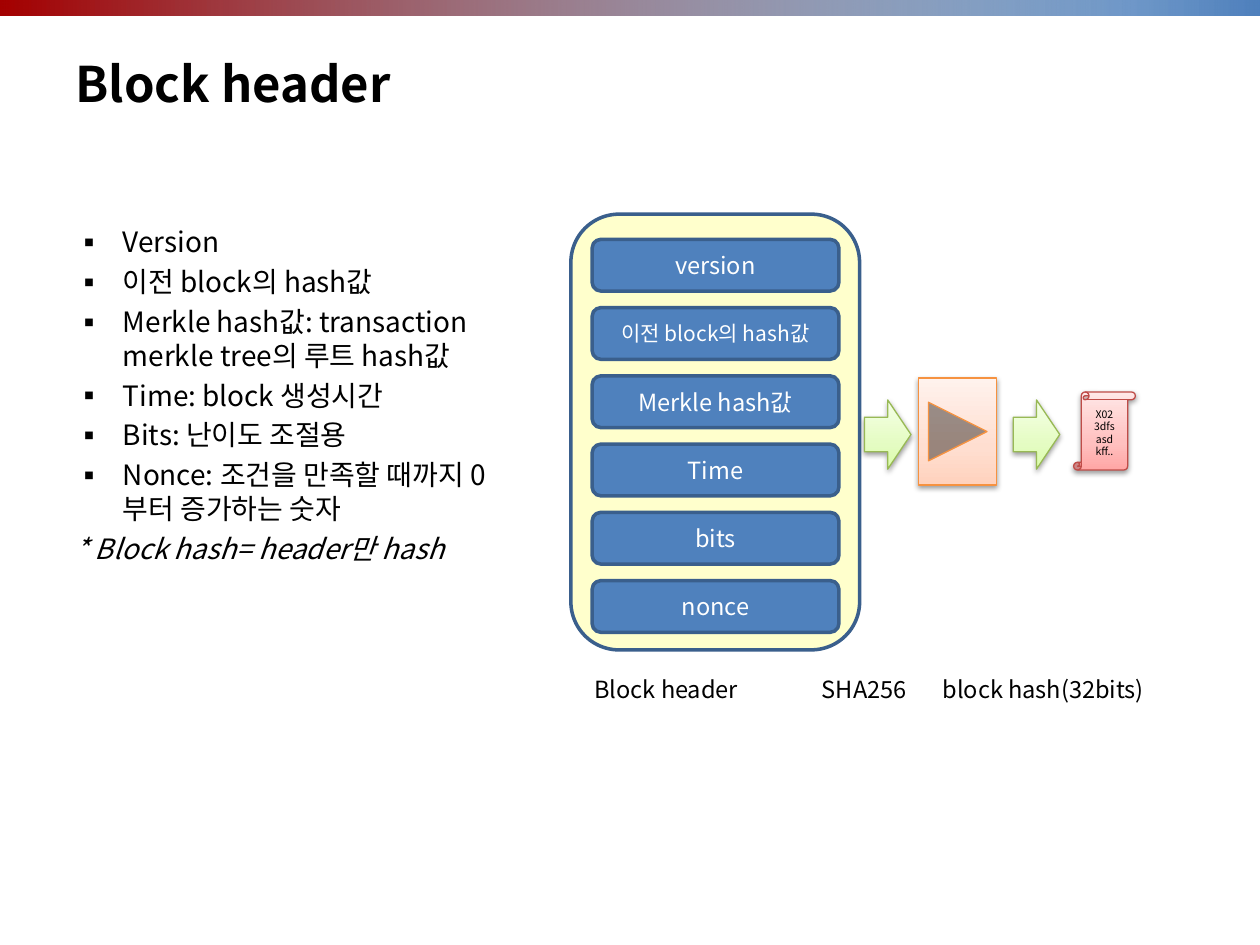
from lxml import etree
from pptx import Presentation
from pptx.dml.color import RGBColor
from pptx.enum.shapes import MSO_SHAPE
from pptx.enum.text import MSO_ANCHOR, MSO_AUTO_SIZE, PP_ALIGN
from pptx.oxml.ns import qn
from pptx.util import Pt

RECT = MSO_SHAPE.RECTANGLE
ROUNDED = MSO_SHAPE.ROUNDED_RECTANGLE
ARROW = MSO_SHAPE.RIGHT_ARROW
BUTTON = MSO_SHAPE.ACTION_BUTTON_FORWARD_OR_NEXT
SCROLL = MSO_SHAPE.VERTICAL_SCROLL
MIDDLE, TOP = MSO_ANCHOR.MIDDLE, MSO_ANCHOR.TOP
LEFT, CENTER = PP_ALIGN.LEFT, PP_ALIGN.CENTER
NO_AUTOFIT = MSO_AUTO_SIZE.NONE

FONT = "Noto Sans CJK KR"
BLACK = RGBColor(0x00, 0x00, 0x00)
WHITE = RGBColor(0xFF, 0xFF, 0xFF)
CREAM = RGBColor(0xFF, 0xFF, 0xCC)
BLUE = RGBColor(0x4F, 0x81, 0xBD)
NAVY = RGBColor(0x3A, 0x5F, 0x8C)
MIST = RGBColor(0xF2, 0xF4, 0xF8)
RED = RGBColor(0xA4, 0x00, 0x00)
DEEP_BLUE = RGBColor(0x16, 0x34, 0x59)
GREEN_LINE = RGBColor(0x98, 0xB9, 0x55)
ORANGE_LINE = RGBColor(0xF6, 0x92, 0x40)
ROSE_LINE = RGBColor(0xBF, 0x4C, 0x48)

# Gradient stops: position, colour, opacity (percent)
GREENS = [(0, RGBColor(0xDA, 0xFD, 0xA7), 100), (35, RGBColor(0xE4, 0xFC, 0xC2), 100),
          (100, RGBColor(0xF5, 0xFF, 0xE7), 100)]
ORANGES = [(0, RGBColor(0xFF, 0xD2, 0xBD), 100), (35, RGBColor(0xFF, 0xDE, 0xD0), 100),
           (100, RGBColor(0xFF, 0xF2, 0xED), 100)]
ROSES = [(0, RGBColor(0xFF, 0xA6, 0xA5), 100), (35, RGBColor(0xFF, 0xC0, 0xBF), 100),
         (100, RGBColor(0xFF, 0xE7, 0xE7), 100)]

ITEMS = ["Version", "이전 block의 hash값",
         "Merkle hash값: transaction merkle tree의 루트 hash값",
         "Time: block 생성시간", "Bits: 난이도 조절용",
         "Nonce: 조건을 만족할 때까지 0부터 증가하는 숫자"]
REMARK = "* Block hash= header만 hash"
FIELDS = [("version", 13.5), ("이전 block의 hash값", 12), ("Merkle hash값", 13.5),
          ("Time", 13.5), ("bits", 13.5), ("nonce", 13.5)]


def sub(parent, tag, **attributes):
    return etree.SubElement(parent, qn(tag), {k: str(v) for k, v in attributes.items()})


def place(shape, box):
    shape.left, shape.top, shape.width, shape.height = (Pt(v) for v in box)


def format_text(paragraph, size, color, align=LEFT, bold=False, italic=False):
    paragraph.alignment = align
    for run in paragraph.runs:
        font = run.font
        font.size, font.name, font.bold, font.italic = Pt(size), FONT, bold, italic
        font.color.rgb = color
        sub(font._element, "a:ea", typeface=FONT)


def add_block(slide, preset, box, line=None, line_width=0.75):
    block = slide.shapes.add_shape(preset, *(Pt(v) for v in box))
    block.shadow.inherit = False
    if line is None:
        block.line.fill.background()
    else:
        block.line.color.rgb = line
        block.line.width = Pt(line_width)
    return block


def fill_gradient(block, stops, angle):
    block.fill.background()
    no_fill = block._element.spPr.find(qn("a:noFill"))
    gradient = etree.Element(qn("a:gradFill"), rotWithShape="1")
    stop_list = sub(gradient, "a:gsLst")
    for position, color, opacity in stops:
        stop = sub(stop_list, "a:gs", pos=position * 1000)
        swatch = sub(stop, "a:srgbClr", val=color)
        if opacity < 100:
            sub(swatch, "a:alpha", val=opacity * 1000)
    sub(gradient, "a:lin", ang=angle * 60000, scaled=0)
    no_fill.getparent().replace(no_fill, gradient)


def add_step(slide, preset, box, stops, line):
    """Shaded, shadowed stage of the hashing flow."""
    step = add_block(slide, preset, box, line)
    fill_gradient(step, stops, 270)
    effects = step._element.spPr.find(qn("a:effectLst"))
    shadow = sub(effects, "a:outerShdw", blurRad=Pt(3.1), dist=Pt(1.6),
                 dir=90 * 60000, rotWithShape=0)
    sub(sub(shadow, "a:srgbClr", val=BLACK), "a:alpha", val=38000)
    return step


def add_top_band(slide, box):
    left, top, width, height = box
    base = add_block(slide, RECT, box)
    fill_gradient(base, [(0, MIST, 0), (100, BLUE, 100)], 0)
    overlay = add_block(slide, RECT, (left, top, width * 0.9, height))
    fill_gradient(overlay, [(0, RED, 100), (100, DEEP_BLUE, 0)], 0)


def fill_title(slide, box):
    title = slide.shapes.title
    place(title, box)
    frame = title.text_frame
    frame.text = "Block header"
    frame.vertical_anchor = MIDDLE
    frame.auto_size = NO_AUTOFIT
    format_text(frame.paragraphs[0], 28, BLACK, bold=True)


def fill_list(slide, box):
    body = slide.placeholders[1]
    place(body, box)
    frame = body.text_frame
    frame.text = "\n".join(ITEMS + [REMARK])
    frame.vertical_anchor = TOP
    frame.auto_size = NO_AUTOFIT
    for paragraph in frame.paragraphs:
        is_remark = paragraph.text == REMARK
        format_text(paragraph, 16, BLACK, italic=is_remark)
        paragraph.line_spacing = Pt(19.5)
        paragraph.space_before = Pt(3.2)
        properties = paragraph._p.get_or_add_pPr()
        indent = 0 if is_remark else Pt(27)
        properties.set("marL", str(indent))
        properties.set("indent", str(-indent))
        if is_remark:
            sub(properties, "a:buNone")
        else:
            sub(properties, "a:buFont", typeface=FONT)
            sub(properties, "a:buChar", char="▪")


def add_header_block(slide, box):
    left, top, width, height = box
    container = add_block(slide, ROUNDED, box, NAVY, 2)
    container.fill.solid()
    container.fill.fore_color.rgb = CREAM
    pitch = 39
    for row, (label, size) in enumerate(FIELDS):
        field = add_block(slide, ROUNDED, (left + 12.2, top + 14.4 + row * pitch,
                                           width - 24, 29.5), NAVY, 2)
        field.fill.solid()
        field.fill.fore_color.rgb = BLUE
        frame = field.text_frame
        frame.text = label
        frame.vertical_anchor = MIDDLE
        format_text(frame.paragraphs[0], size, WHITE, CENTER)


def add_hash_flow(slide, box):
    left, top, width, height = box
    for offset in (0, 85):
        add_step(slide, ARROW, (left + offset, top + 12.5, 26.6, 39.6), GREENS, GREEN_LINE)
    add_step(slide, BUTTON, (left + 31, top, 44.6, height), ORANGES, ORANGE_LINE)
    scroll_width = 35.3
    digest = add_step(slide, SCROLL, (left + width - scroll_width, top + 8, scroll_width, 44.6),
                      ROSES, ROSE_LINE)
    frame = digest.text_frame
    frame.text = "X02\v3dfs\vasd\vkff.."
    frame.word_wrap = False
    frame.vertical_anchor = MIDDLE
    format_text(frame.paragraphs[0], 6, BLACK, CENTER)
    frame.paragraphs[0].line_spacing = Pt(7)


def add_captions(slide, box):
    captions = slide.shapes.add_textbox(*(Pt(v) for v in box))
    frame = captions.text_frame
    frame.text = "Block header\tSHA256\tblock hash(32bits)"
    frame.word_wrap = True
    paragraph = frame.paragraphs[0]
    format_text(paragraph, 13.5, BLACK)
    paragraph.line_spacing = Pt(16.5)
    tabs = sub(paragraph._p.get_or_add_pPr(), "a:tabLst")
    for position in (130, 199):
        sub(tabs, "a:tab", pos=Pt(position), algn="l")


def main():
    deck = Presentation()
    deck.slide_width, deck.slide_height = Pt(720), Pt(540)
    slide = deck.slides.add_slide(deck.slide_layouts[1])
    add_top_band(slide, (0, -2, 720, 11))
    fill_title(slide, (36, 26, 648, 43))
    fill_list(slide, (36, 124.5, 263.5, 257))
    add_header_block(slide, (326.2, 122.4, 165, 249))
    add_captions(slide, (332.6, 381.6, 365.8, 23.8))
    add_hash_flow(slide, (494, 216, 154.8, 61.2))
    deck.save("out.pptx")


if __name__ == "__main__":
    main()
